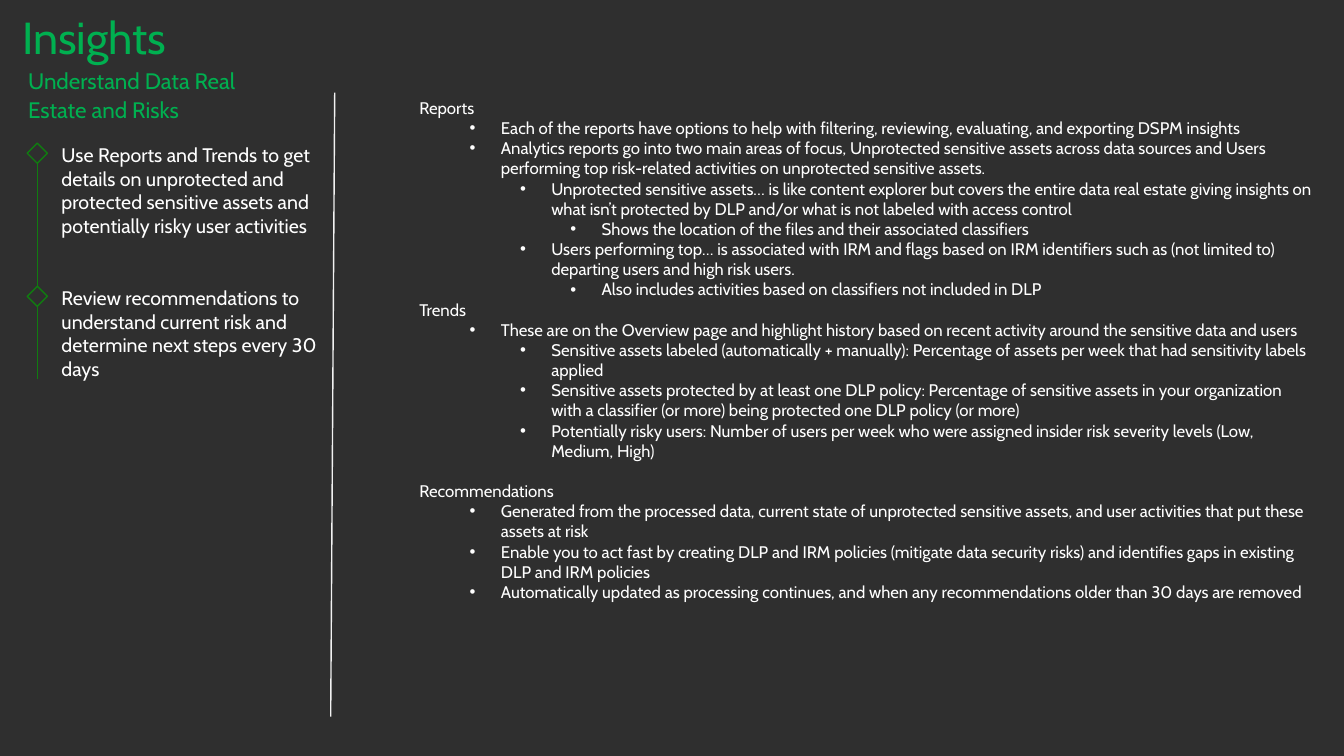
from lxml.etree import SubElement
from pptx import Presentation
from pptx.dml.color import RGBColor
from pptx.enum.shapes import MSO_CONNECTOR as Connector, MSO_SHAPE as Shape
from pptx.enum.text import MSO_AUTO_SIZE as AutoSize
from pptx.oxml.ns import qn
from pptx.util import Inches, Pt

BACKGROUND = "2F2F2F"
HEADING = "00B050"
TIMELINE = "107C10"
DIVIDER = "F2F2F2"
BODY = "FFFFFF"

LINE_GAP = 14.4  # height of one 12 pt line

# (level, text, space before in points)
DETAILS = [
    (0, "Reports", 0),
    (1, "Each of the reports have options to help with filtering, reviewing, evaluating, "
        "and exporting DSPM insights", 0),
    (1, "Analytics reports go into two main areas of focus, Unprotected sensitive assets across "
        "data sources and Users performing top risk-related activities on unprotected "
        "sensitive assets.", 0),
    (2, "Unprotected sensitive assets… is like content explorer but covers the entire data real "
        "estate giving insights on what isn’t protected by DLP and/or what is not labeled "
        "with access control", 0),
    (3, "Shows the location of the files and their associated classifiers", 0),
    (2, "Users performing top… is associated with IRM and flags based on IRM identifiers such as "
        "(not limited to) departing users and high risk users.", 0),
    (3, "Also includes activities based on classifiers not included in DLP", 0),
    (0, "Trends", 0),
    (1, "These are on the Overview page and highlight history based on recent activity around "
        "the sensitive data and users", 0),
    (2, "Sensitive assets labeled (automatically + manually): Percentage of assets per week that "
        "had sensitivity labels applied", 0),
    (2, "Sensitive assets protected by at least one DLP policy: Percentage of sensitive assets in "
        "your organization with a classifier (or more) being protected one DLP policy "
        "(or more)", 0),
    (2, "Potentially risky users: Number of users per week who were assigned insider risk "
        "severity levels (Low, Medium, High)", 0),
    (0, "Recommendations", LINE_GAP),
    (1, "Generated from the processed data, current state of unprotected sensitive assets, and "
        "user activities that put these assets at risk", 0),
    (1, "Enable you to act fast by creating DLP and IRM policies (mitigate data security risks) "
        "and identifies gaps in existing DLP and IRM policies", 0),
    (1, "Automatically updated as processing continues, and when any recommendations older than "
        "30 days are removed", 0),
]

# (top, height, text)
STEPS = [
    (1.42, 0.94, "Use Reports and Trends to get details on unprotected and protected sensitive "
                 "assets and potentially risky user activities"),
    (2.84, 1.18, "Review recommendations to understand current risk and determine next steps "
                 "every 30 days"),
]


def color(code):
    return RGBColor.from_string(code)


def write(para, text, size, ink, font="Cabin", spacing=None, before=0, after=0):
    para.space_before, para.space_after = Pt(before), Pt(after)
    if spacing:
        para.line_spacing = spacing
    span = para.add_run()
    span.text = text
    span.font.name = font
    span.font.size = Pt(size)
    span.font.color.rgb = color(ink)


def indent_bullet(para, level):
    para.level = level
    properties = para._p.get_or_add_pPr()
    properties.set("marL", str(Inches(0.31 + 0.5 * level)))
    properties.set("indent", str(Inches(-0.31)))
    SubElement(properties, qn("a:buFont"), typeface="Arial")
    SubElement(properties, qn("a:buChar"), char="•")


class Painter:
    """Draws elements in the deck's style on one page."""

    def __init__(self, page):
        self.page = page
        fill = page.background.fill
        fill.solid()
        fill.fore_color.rgb = color(BACKGROUND)

    def frame(self, left, top, width, height, inset=True):
        """Add a wrapping text box and return its text frame."""
        box = self.page.shapes.add_textbox(
            Inches(left), Inches(top), Inches(width), Inches(height))
        frame = box.text_frame
        frame.word_wrap = True
        frame.auto_size = AutoSize.SHAPE_TO_FIT_TEXT
        if not inset:
            frame.margin_left = frame.margin_top = 0
            frame.margin_right = frame.margin_bottom = 0
        return frame

    def label(self, left, top, width, height, text, **style):
        frame = self.frame(left, top, width, height, inset=False)
        write(frame.paragraphs[0], text, **style)

    def heading(self, left, top, width, height, text, size):
        self.label(left, top, width, height, text, size=size, ink=HEADING,
                   spacing=1.07, before=4, after=5)

    def outline(self, left, top, width, height, entries):
        frame = self.frame(left, top, width, height)
        for index, (level, text, before) in enumerate(entries):
            para = frame.add_paragraph() if index else frame.paragraphs[0]
            write(para, text, size=12, ink=BODY, before=before)
            if level:
                indent_bullet(para, level)

    def line(self, start, end, ink):
        line = self.page.shapes.add_connector(
            Connector.STRAIGHT, *(Inches(value) for value in (*start, *end)))
        line.line.color.rgb = color(ink)
        line.line.width = Pt(1)
        SubElement(line._element.spPr, qn("a:effectLst"))

    def diamond(self, left, top, side):
        marker = self.page.shapes.add_shape(
            Shape.DIAMOND, Inches(left), Inches(top), Inches(side), Inches(side))
        marker.shadow.inherit = False
        marker.fill.solid()
        marker.fill.fore_color.rgb = color(BACKGROUND)
        marker.line.color.rgb = color(TIMELINE)
        marker.line.width = Pt(1)


def main():
    deck = Presentation()
    deck.slide_width, deck.slide_height = Inches(13.33), Inches(7.5)
    painter = Painter(deck.slides.add_slide(deck.slide_layouts[6]))

    painter.heading(0.22, 0.06, 12.6, 1.24, "Insights", size=32)
    painter.line((3.32, 0.92), (3.28, 7.11), DIVIDER)
    painter.outline(4.06, 0.92, 9.09, 5.55, DETAILS)
    painter.heading(0.28, 0.65, 2.65, 0.56, "Understand Data Real Estate and Risks", size=16)

    painter.line((0.37, 1.42), (0.37, 3.76), TIMELINE)
    for top, height, text in STEPS:
        painter.label(0.61, top, 2.59, height, text, size=14, ink=BODY)
        painter.diamond(0.27, top, 0.2)

    deck.save("out.pptx")


if __name__ == "__main__":
    main()
